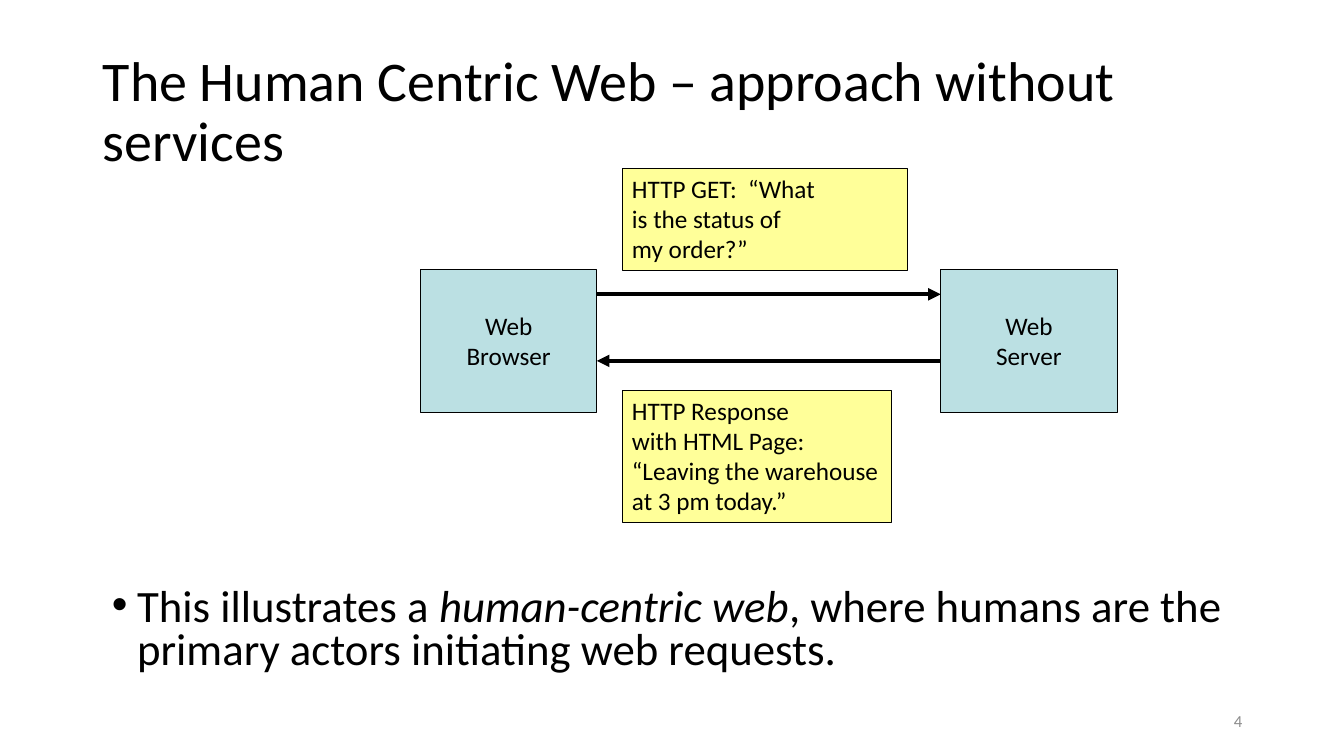
from lxml.etree import SubElement
from pptx import Presentation
from pptx.dml.color import RGBColor
from pptx.enum.shapes import MSO_CONNECTOR, MSO_SHAPE
from pptx.enum.text import MSO_ANCHOR, MSO_AUTO_SIZE, PP_ALIGN
from pptx.oxml.ns import qn
from pptx.util import Inches, Pt

BLACK, GREY, TEAL, YELLOW = "000000", "8C8C8C", "BBE0E3", "FFFF99"


def rgb(value):
    return RGBColor.from_string(value)


def write_text(frame, text, size=18, color=BLACK, align=PP_ALIGN.LEFT,
               anchor=MSO_ANCHOR.TOP, spacing=1.0, wrap=True, italic=""):
    """Write one paragraph per line; the phrase given as italic is slanted."""
    frame.word_wrap = wrap
    frame.auto_size = MSO_AUTO_SIZE.NONE
    frame.vertical_anchor = anchor
    for number, line in enumerate(text.split("\n")):
        paragraph = frame.add_paragraph() if number else frame.paragraphs[0]
        paragraph.alignment = align
        paragraph.line_spacing = spacing
        paragraph.space_before = Pt(0)
        before, phrase, after = line.partition(italic) if italic else (line, "", "")
        for part in filter(None, (before, phrase, after)):
            run = paragraph.add_run()
            run.text = part
            run.font.name = "Calibri"
            run.font.size = Pt(size)
            run.font.italic = bool(phrase) and part == phrase
            run.font.color.rgb = rgb(color)


def place(shape, left, top, width, height):
    shape.left, shape.top = Inches(left), Inches(top)
    shape.width, shape.height = Inches(width), Inches(height)


def add_box(slide, box, text, fill, **text_format):
    rectangle = slide.shapes.add_shape(MSO_SHAPE.RECTANGLE, *map(Inches, box))
    rectangle.shadow.inherit = False
    rectangle.fill.solid()
    rectangle.fill.fore_color.rgb = rgb(fill)
    rectangle.line.color.rgb = rgb(BLACK)
    rectangle.line.width = Pt(0.75)
    write_text(rectangle.text_frame, text, **text_format)


def add_arrow(slide, start, end, y):
    arrow = slide.shapes.add_connector(
        MSO_CONNECTOR.STRAIGHT, Inches(start), Inches(y), Inches(end), Inches(y))
    arrow.line.color.rgb = rgb(BLACK)
    arrow.line.width = Pt(3)
    SubElement(arrow.line._get_or_add_ln(), qn("a:tailEnd"), type="triangle")
    SubElement(arrow._element.spPr, qn("a:effectLst"))


def add_title(slide, box):
    title = slide.shapes.title
    place(title, *box)
    write_text(title.text_frame, "The Human Centric Web – approach without services",
               size=40, anchor=MSO_ANCHOR.MIDDLE, spacing=0.9)


def add_exchange(slide, box):
    """Browser and server at the two ends, messages and arrows between them."""
    left, top, width, height = box
    node_width, node_height, node_top = 1.75, 1.42, top + 1
    browser_edge = left + node_width
    server_left = left + width - node_width
    note_left = browser_edge + 0.25

    # Browser and server
    for name, x in (("Web\nBrowser", left), ("Web\nServer", server_left)):
        add_box(slide, (x, node_top, node_width, node_height), name, TEAL,
                align=PP_ALIGN.CENTER, anchor=MSO_ANCHOR.MIDDLE, wrap=False)

    # Request
    add_arrow(slide, browser_edge, server_left, node_top + 0.25)
    add_box(slide, (note_left, top, 2.83, 1.01),
            "HTTP GET:  “What\nis the status of\nmy order?”", YELLOW)

    # Response
    response_height = 1.31
    add_arrow(slide, server_left, browser_edge, node_top + 0.91)
    add_box(slide, (note_left, top + height - response_height, 2.67, response_height),
            "HTTP Response\nwith HTML Page:\n“Leaving the warehouse\nat 3 pm today.”",
            YELLOW, wrap=False)


def add_conclusion(slide, box):
    conclusion = slide.placeholders[1]
    place(conclusion, *box)
    properties = conclusion.text_frame.paragraphs[0]._p.get_or_add_pPr()
    properties.set("marL", str(Inches(0.25)))
    properties.set("indent", str(-Inches(0.25)))
    SubElement(properties, qn("a:buFont"), typeface="Arial")
    SubElement(properties, qn("a:buChar"), char="•")
    write_text(conclusion.text_frame,
               "This illustrates a human-centric web, where humans are the "
               "primary actors initiating web requests.",
               size=32, spacing=0.8, italic="human-centric web")


def add_page_number(slide, box):
    page_number = slide.shapes.add_textbox(*map(Inches, box))
    write_text(page_number.text_frame, "4", size=12, color=GREY,
               align=PP_ALIGN.RIGHT, anchor=MSO_ANCHOR.MIDDLE)


def main():
    deck = Presentation()
    deck.slide_width, deck.slide_height = Inches(13.33), Inches(7.5)
    slide = deck.slides.add_slide(deck.slide_layouts[1])
    add_title(slide, (0.92, 0.4, 11.5, 1.45))
    add_exchange(slide, (4.17, 1.67, 6.91, 3.51))
    add_conclusion(slide, (1.01, 5.78, 11.31, 1.17))
    add_page_number(slide, (9.42, 6.95, 3, 0.4))
    deck.save("out.pptx")


if __name__ == "__main__":
    main()
